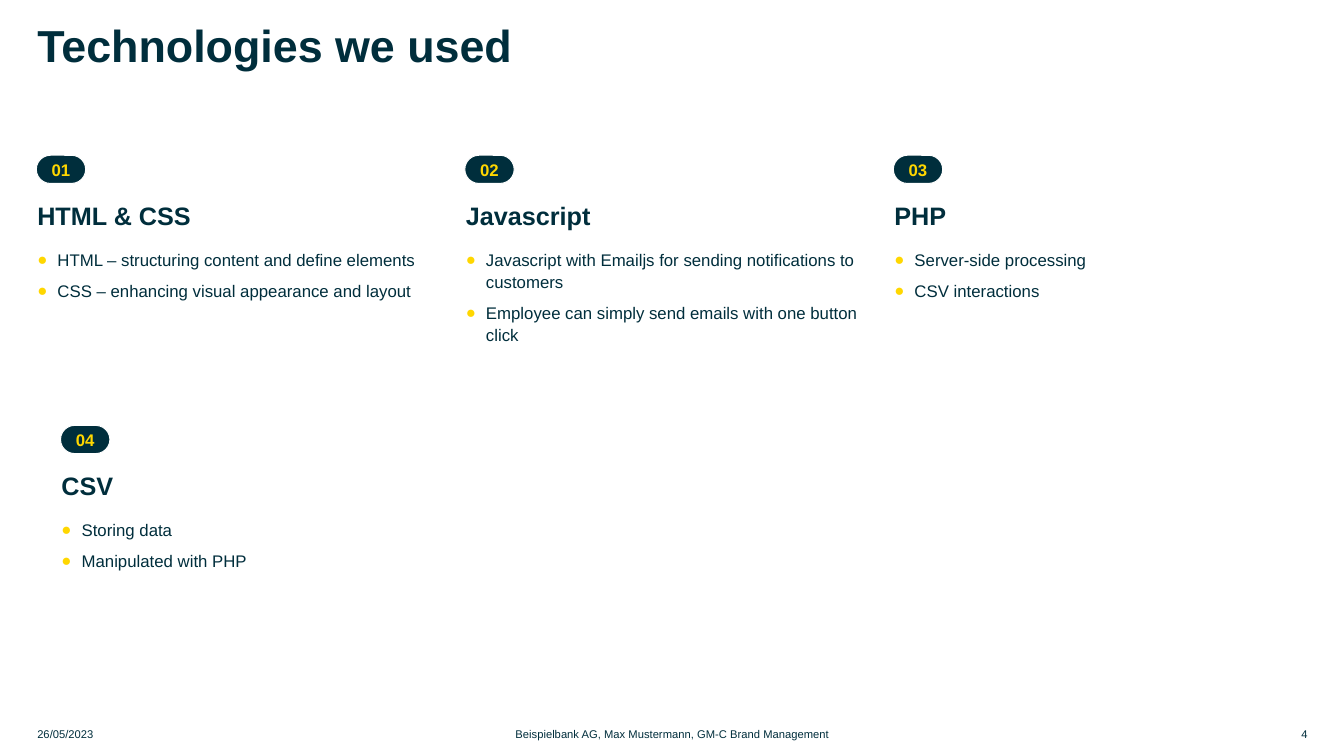
from lxml.etree import SubElement
from pptx import Presentation
from pptx.dml.color import RGBColor
from pptx.enum.shapes import MSO_SHAPE as Preset
from pptx.enum.text import MSO_ANCHOR as Anchor, MSO_AUTO_SIZE as AutoSize, PP_ALIGN as Align
from pptx.oxml.ns import qn
from pptx.util import Inches, Pt

COLORS = {"petrol": "002E3C", "yellow": "FFD700", "white": "FFFFFF"}
FONT = "Arial"
LEFT, COLUMN_STEP = 0.37, 4.25
FOOTER_TOP, FOOTER_HEIGHT = 7.06, 0.44


def set_frame(shape, box, insets, anchor=Anchor.TOP, wrap=True):
    shape.left, shape.top, shape.width, shape.height = map(Inches, box)
    frame = shape.text_frame
    frame.auto_size = AutoSize.NONE
    frame.word_wrap = wrap
    frame.vertical_anchor = anchor
    (frame.margin_left, frame.margin_top,
     frame.margin_right, frame.margin_bottom) = map(Inches, insets)
    return frame


def add_text(paragraph, text, size, bold=False, color="petrol", align=Align.LEFT,
             spacing=1.0, before=0, after=0):
    paragraph.alignment = align
    paragraph.line_spacing = spacing
    paragraph.space_before, paragraph.space_after = Pt(before), Pt(after)
    run = paragraph.add_run()
    run.text = text
    run.font.name, run.font.size, run.font.bold = FONT, Pt(size), bold
    run.font.color.rgb = RGBColor.from_string(COLORS[color])


presentation = Presentation()
presentation.slide_width, presentation.slide_height = Inches(13.33), Inches(7.5)
# The comparison layout offers a title and four body placeholders
slide = presentation.slides.add_slide(presentation.slide_layouts[4])

# Title
title = set_frame(slide.shapes.title, (LEFT, 0, 12.6, 1.23), (0, 0.24, 0.94, 0))
add_text(title.paragraphs[0], "Technologies we used", 32, bold=True, spacing=0.9)

# Technologies: left, top of the badge, height of the list, heading, bullets
technologies = [
    (LEFT, 1.54, 5.04, "HTML & CSS",
     ["HTML – structuring content and define elements",
      "CSS – enhancing visual appearance and layout"]),
    (LEFT + COLUMN_STEP, 1.54, 5.04, "Javascript",
     ["Javascript with Emailjs for sending notifications to customers",
      "Employee can simply send emails with one button click"]),
    (LEFT + 2 * COLUMN_STEP, 1.54, 5.04, "PHP",
     ["Server-side processing", "CSV interactions"]),
    (0.61, 4.22, 2.37, "CSV", ["Storing data", "Manipulated with PHP"]),
]
for number, (left, top, height, heading, bullets) in enumerate(technologies, start=1):
    # Number badge
    badge = slide.shapes.add_shape(Preset.ROUNDED_RECTANGLE, 0, 0, 0, 0)
    badge.adjustments[0] = 0.5
    badge.shadow.inherit = False
    badge.fill.solid()
    badge.fill.fore_color.rgb = RGBColor.from_string(COLORS["petrol"])
    badge.line.color.rgb = RGBColor.from_string(COLORS["white"])
    badge.line.width = Pt(0.75)
    label = set_frame(badge, (left - 0.01, top, 0.49, 0.28), (0.08, 0, 0.08, 0), Anchor.MIDDLE)
    add_text(label.paragraphs[0], f"{number:02}", 12, bold=True, color="yellow",
             align=Align.CENTER)

    # Heading without bullet
    body = set_frame(slide.placeholders[number], (left, top + 0.48, 4.09, height),
                     (0, 0, 0.16, 0))
    paragraph = body.paragraphs[0]
    add_text(paragraph, heading, 18, bold=True, spacing=0.9, before=10, after=6)
    properties = paragraph._p.get_or_add_pPr()
    properties.set("marL", "0")
    properties.set("indent", "0")
    SubElement(properties, qn("a:buNone"))

    # Bullets
    for bullet in bullets:
        paragraph = body.add_paragraph()
        add_text(paragraph, bullet, 12, spacing=1.1, before=6)
        properties = paragraph._p.get_or_add_pPr()
        properties.set("marL", str(Inches(0.2)))
        properties.set("indent", str(-Inches(0.2)))
        bullet_color = SubElement(properties, qn("a:buClr"))
        SubElement(bullet_color, qn("a:srgbClr"), val=COLORS["yellow"])
        SubElement(properties, qn("a:buFont"), typeface=FONT)
        SubElement(properties, qn("a:buChar"), char="●")

# Footer: date, owner, page number
footers = [
    (LEFT, 0.94, "26/05/2023", Align.LEFT),
    (3.56, 6.22, "Beispielbank AG, Max Mustermann, GM-C Brand Management", Align.CENTER),
    (12.34, 0.63, "4", Align.RIGHT),
]
for left, width, text, align in footers:
    footer = set_frame(slide.shapes.add_textbox(0, 0, 0, 0),
                       (left, FOOTER_TOP, width, FOOTER_HEIGHT), (0, 0.16, 0, 0), wrap=False)
    add_text(footer.paragraphs[0], text, 8, align=align)

presentation.save("out.pptx")
